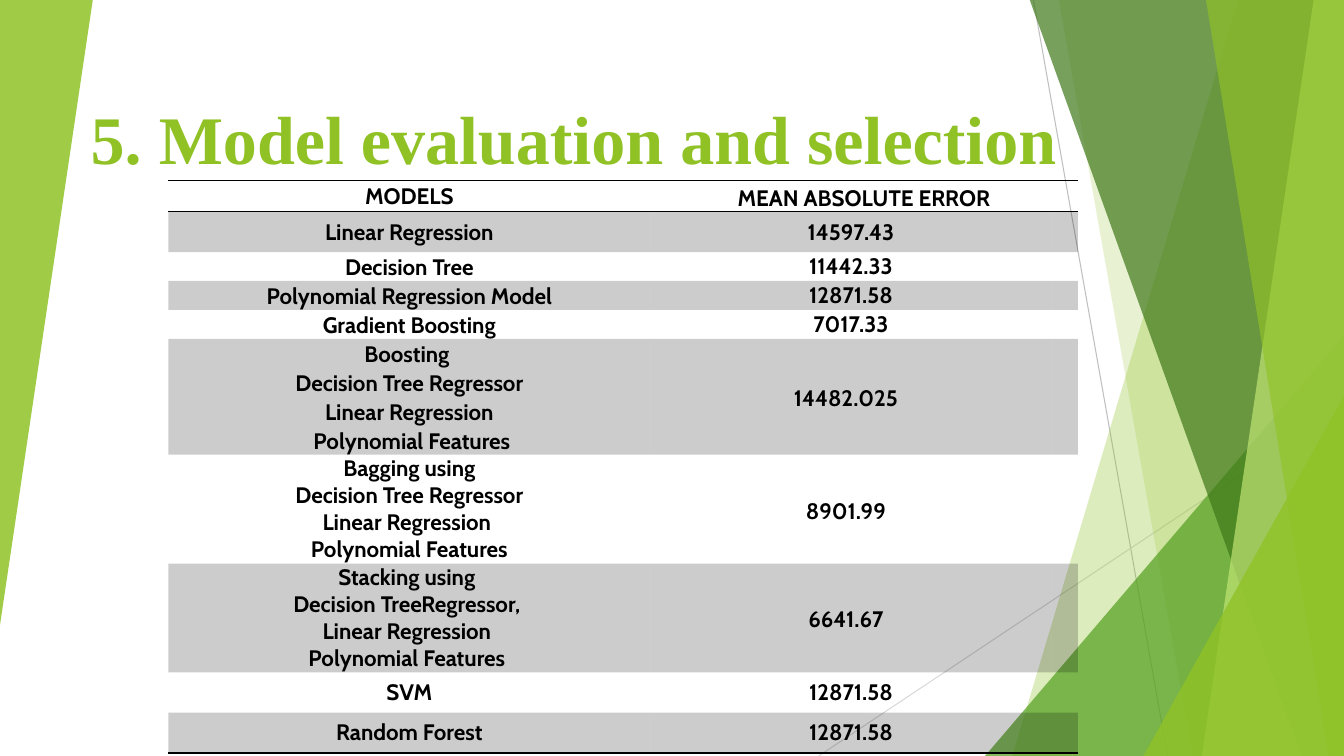
import pptx
import pptx.util
import pptx.dml.color
import pptx.enum.shapes
import pptx.enum.text
import pptx.oxml
import pptx.oxml.ns
import lxml.etree

Inches = pptx.util.Inches
Pt = pptx.util.Pt
RGB = pptx.dml.color.RGBColor.from_string
qn = pptx.oxml.ns.qn

COLORS = {
    "lime": "90C226", "green": "54A021", "forest": "3F7819", "pale": "C0E474",
    "gray": "BFBFBF", "light_gray": "D9D9D9", "black": "000000",
}


def paint(fill, color, opacity):
    fill.solid()
    fill.fore_color.rgb = RGB(COLORS[color])
    tint = fill._xPr.find(qn("a:solidFill"))[0]
    lxml.etree.SubElement(tint, qn("a:alpha"), val=str(opacity * 1000))


def add_rule(cell, edge):
    rule = pptx.oxml.parse_xml(
        f'<a:{edge} xmlns:a="http://schemas.openxmlformats.org/drawingml/2006/main" w="12700">'
        f'<a:solidFill><a:srgbClr val="{COLORS["black"]}"/></a:solidFill></a:{edge}>')
    properties = cell._tc.get_or_add_tcPr()
    properties.insert(len(properties.findall(qn("a:lnT"))), rule)


deck = pptx.Presentation()
deck.slide_width = Inches(13.33)
deck.slide_height = Inches(7.5)
slide = deck.slides.add_slide(deck.slide_layouts[5])
shapes = slide.shapes

for x1, y1, x2, y2, color in [
    (10.25, 0, 11.58, 7.5, "gray"),
    (13.33, 4.03, 8.12, 7.5, "light_gray"),
]:
    ray = shapes.add_connector(
        pptx.enum.shapes.MSO_CONNECTOR.STRAIGHT, Inches(x1), Inches(y1), Inches(x2), Inches(y2))
    ray.line.color.rgb = RGB(COLORS[color])
    ray.line.width = Pt(0.75)
    lxml.etree.SubElement(ray._element.spPr, qn("a:effectLst"))

facets = [
    ("band", 12.28, 10.04, "lime", 30),
    ("band", 10.5, 11.83, "lime", 20),
    ("triangle", (9.77, 3.33, 3.56, 4.17), 0, "green", 72),
    ("band", 10.21, 12.91, "forest", 70),
    ("band", 13.03, 11.92, "pale", 70),
    ("band", 11.96, 13.18, "lime", 65),
    ("triangle", (11.34, 3.93, 1.99, 3.57), 0, "lime", 80),
    ("triangle", (0, 0, 0.92, 6.2), 180, "lime", 85),
]
for kind, first, second, color, opacity in facets:
    if kind == "band":
        outline = shapes.build_freeform(Inches(first), Inches(-0.01))
        outline.add_line_segments(
            [(Inches(x), Inches(y)) for x, y in [(13.33, -0.01), (13.33, 7.5), (second, 7.5)]])
        facet = outline.convert_to_shape()
    else:
        facet = shapes.add_shape(
            pptx.enum.shapes.MSO_SHAPE.ISOSCELES_TRIANGLE, *[Inches(n) for n in first])
        facet.adjustments[0] = 1
        facet.rotation = second
    paint(facet.fill, color, opacity)
    facet.line.fill.background()
    facet.shadow.inherit = False

heading = shapes.title
shapes._spTree.append(heading._element)
heading.left, heading.top, heading.width, heading.height = [
    Inches(n) for n in (0.69, 0.96, 10, 0.86)]
heading.text_frame.text = "5. Model evaluation and selection"
heading.text_frame.word_wrap = True
heading.text_frame.auto_size = pptx.enum.text.MSO_AUTO_SIZE.NONE
heading.text_frame.vertical_anchor = pptx.enum.text.MSO_ANCHOR.BOTTOM
heading_line = heading.text_frame.paragraphs[0]
heading_line.alignment = pptx.enum.text.PP_ALIGN.CENTER
heading_line.font.name = "Times New Roman"
heading_line.font.size = Pt(48.6)
heading_line.font.bold = True
heading_line.font.color.rgb = RGB(COLORS["lime"])

results = [
    ("MODELS", "MEAN ABSOLUTE ERROR", 0.31, 1.07, 1.15),
    ("Linear Regression", "14597.43", 0.4, 1.07, 1.07),
    ("Decision Tree", "11442.33", 0.27, 1.07, 1),
    ("Polynomial Regression Model", "12871.58", 0.27, 1.07, 1),
    ("Gradient Boosting", "7017.33", 0.27, 1.07, 1),
    ("Boosting \nDecision Tree Regressor\nLinear Regression\n Polynomial Features",
     "14482.025 \u00a0", 1.14, 1.07, 1.15),
    ("Bagging using\nDecision Tree Regressor\nLinear Regression \nPolynomial Features",
     "8901.99 \u00a0", 1.08, 1, 1.15),
    ("Stacking using \nDecision TreeRegressor, \nLinear Regression \nPolynomial Features ",
     "6641.67 \u00a0", 1.08, 1, 1.15),
    ("SVM", "12871.58", 0.4, 1, 1),
    ("Random Forest", "12871.58", 0.4, 1, 1),
]
errors = shapes.add_table(
    len(results), 3, Inches(1.67), Inches(1.79), Inches(9.02), Inches(5.62)).table
errors.first_row = False
errors.horz_banding = False
errors._tbl.tblPr.find(qn("a:tableStyleId")).text = "{2D5ABB26-0587-4C30-8999-92F81FD0307C}"
for column, width in zip(errors.columns, (4.78, 3.98, 0.26)):
    column.width = Inches(width)
errors.cell(0, 1).merge(errors.cell(0, 2))

for r, (model, error, height, model_spacing, error_spacing) in enumerate(results):
    errors.rows[r].height = Inches(height)
    entries = [(model, model_spacing), (error, error_spacing), ("", 1)]
    for c, (entry, spacing) in enumerate(entries):
        cell = errors.cell(r, c)
        cell.text = entry
        cell.vertical_anchor = pptx.enum.text.MSO_ANCHOR.MIDDLE
        cell.margin_left = cell.margin_right = Inches(0.06)
        cell.margin_top = cell.margin_bottom = 0
        for line in cell.text_frame.paragraphs:
            line.alignment = pptx.enum.text.PP_ALIGN.CENTER
            line.line_spacing = spacing
            line.font.name = "Cabin"
            line.font.size = Pt(16)
            line.font.bold = True
            line.font.color.rgb = RGB(COLORS["black"])
            if not entry:
                lxml.etree.SubElement(line._p, qn("a:endParaRPr"), sz="1200")
        if r % 2:
            paint(cell.fill, "black", 20)
        elif r in (0, 2, 4, 6, 8):
            cell.fill.background()
        if r == 0:
            add_rule(cell, "lnT")
        if r in (0, len(results) - 1):
            add_rule(cell, "lnB")

deck.save("out.pptx")
